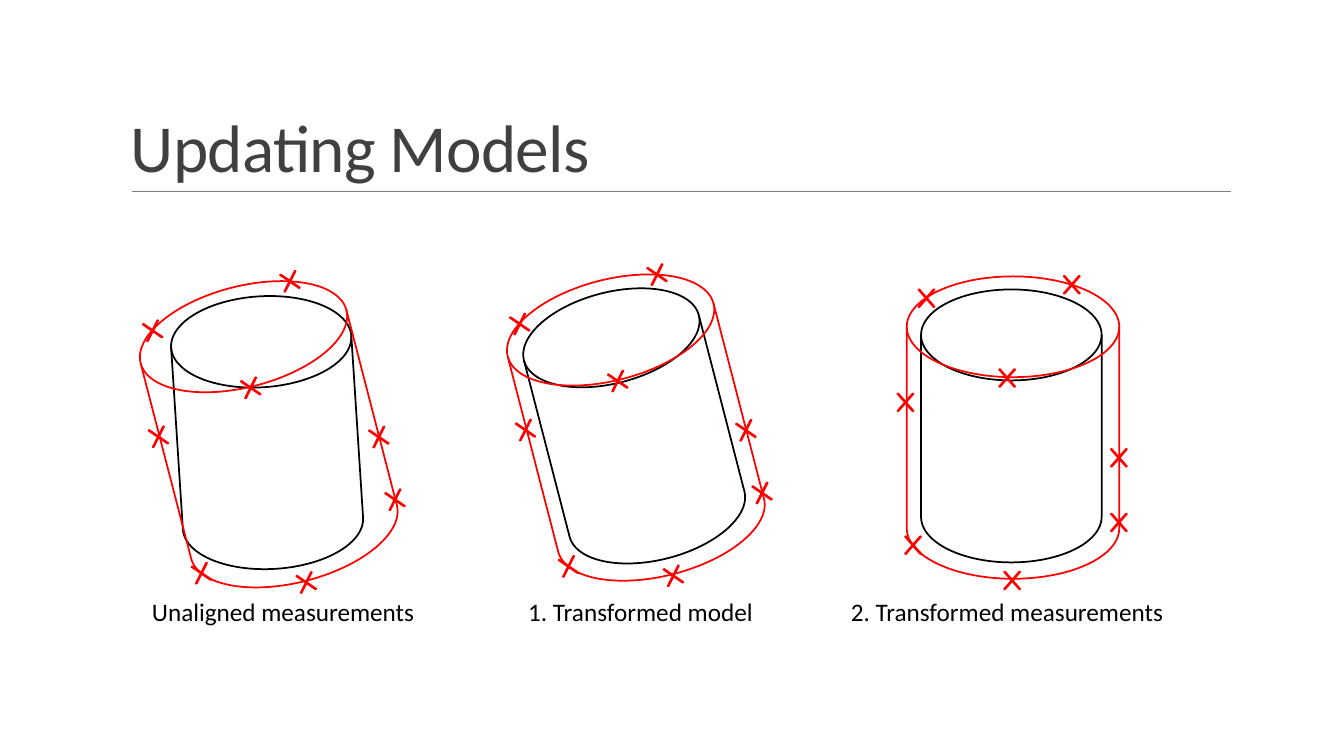
"""Build a slide that shows how cylinder models and measurements are aligned."""
from dataclasses import dataclass
from math import cos, radians, sin

from lxml.etree import SubElement
from pptx import Presentation
from pptx.dml.color import RGBColor
from pptx.enum.shapes import MSO_CONNECTOR as Connector, MSO_SHAPE as Preset
from pptx.enum.text import MSO_ANCHOR as Anchor
from pptx.oxml.ns import qn
from pptx.shapes.autoshape import Shape
from pptx.slide import Slide
from pptx.text.text import _Paragraph as Paragraph
from pptx.util import Inches, Pt

COLUMNS, ROWS = 160, 90
CELL = Inches(1) / 12
FONT = "Calibri"
BLACK, RED, WHITE = "000000", "FF0000", "FFFFFF"
MODEL_SIZE = (32.5, 21.5)
MEASURED_SIZE = (36, 25.3)
MARK_SIZE = (3.5, 4)
MODEL_OFFSET = (-0.2, -0.2)
MARK_OFFSETS = [
    (-0.1, 18.2), (12.6, 11.3), (12.6, 3.6), (-11.9, 14),
    (-12.8, -3), (-0.7, -5.9), (7, -17), (-10.3, -15.4),
]


@dataclass(frozen=True)
class Panel:
    """One cylinder pair with its caption, in grid cells and degrees."""
    caption: str
    caption_left: float
    caption_width: float
    center: tuple[float, float]
    model_tilt: float
    measured_tilt: float


PANELS = [
    Panel("Unaligned measurements", 16.9, 34, (32, 51.7), -3.7, -14.5),
    Panel("1. Transformed model", 61.7, 29.4, (75.7, 50.9), -14.5, -14.5),
    Panel("2. Transformed measurements", 100.1, 40, (120.6, 50.9), 0, 0),
]


def cells(count: float) -> int:
    """Convert grid cells to slide units."""
    return round(count * CELL)


def color(value: str) -> RGBColor:
    """Turn a hex string into a colour."""
    return RGBColor.from_string(value)


def add_outline(slide: Slide, preset: Preset, center: tuple[float, float],
                size: tuple[float, float], rotation: float,
                line: str, fill: str | None) -> Shape:
    """Draw a rotated preset shape around a centre."""
    (x, y), (width, height) = center, size
    shape = slide.shapes.add_shape(preset, cells(x - width / 2), cells(y - height / 2),
                                   cells(width), cells(height))
    shape.rotation = rotation % 360
    shape.shadow.inherit = False
    shape.line.color.rgb = color(line)
    shape.line.width = Pt(1.25)
    if fill:
        shape.fill.solid()
        shape.fill.fore_color.rgb = color(fill)
    else:
        shape.fill.background()
    return shape


def add_text(slide: Slide, text: str, box: tuple[float, float, float, float],
             size: float, hex_color: str, anchor: Anchor, wrap: bool) -> Paragraph:
    """Add one paragraph of text in a box of grid cells."""
    frame = slide.shapes.add_textbox(*map(cells, box)).text_frame
    frame.word_wrap = wrap
    frame.vertical_anchor = anchor
    paragraph = frame.paragraphs[0]
    paragraph.text = text
    paragraph.font.name = FONT
    paragraph.font.size = Pt(size)
    paragraph.font.color.rgb = color(hex_color)
    return paragraph


def add_title(slide: Slide) -> None:
    """Add the heading and the rule below it."""
    paragraph = add_text(slide, "Updating Models", (14.4, 3.7, 132, 19.1),
                         48, "404040", Anchor.BOTTOM, True)
    paragraph.line_spacing = 0.85
    paragraph.runs[0]._r.get_or_add_rPr().set("spc", "-50")
    rule = slide.shapes.add_connector(Connector.STRAIGHT, cells(15.7), cells(22.8),
                                      cells(146.5), cells(22.8))
    rule.line.color.rgb = color("808080")
    rule.line.width = Pt(0.5)
    SubElement(rule._element.spPr, qn("a:effectLst"))


def add_panel(slide: Slide, panel: Panel) -> None:
    """Draw the model, the measured cylinder, its marks and the caption."""
    x, y = panel.center
    add_text(slide, panel.caption, (panel.caption_left, 70.4, panel.caption_width, 4.8),
             18, BLACK, Anchor.TOP, False)
    model_center = (x + MODEL_OFFSET[0], y + MODEL_OFFSET[1])
    add_outline(slide, Preset.FLOWCHART_DIRECT_ACCESS_STORAGE, model_center, MODEL_SIZE,
                panel.model_tilt - 90, BLACK, WHITE)
    add_outline(slide, Preset.FLOWCHART_DIRECT_ACCESS_STORAGE, panel.center, MEASURED_SIZE,
                panel.measured_tilt - 90, RED, None)
    angle = radians(panel.measured_tilt)
    for across, down in MARK_OFFSETS:
        center = (x + across * cos(angle) - down * sin(angle),
                  y + across * sin(angle) + down * cos(angle))
        mark = add_outline(slide, Preset.MATH_MULTIPLY, center, MARK_SIZE,
                           panel.measured_tilt, RED, BLACK)
        mark.adjustments[0] = 0.03


def main() -> None:
    """Build and save the presentation."""
    presentation = Presentation()
    presentation.slide_width = cells(COLUMNS)
    presentation.slide_height = cells(ROWS)
    slide = presentation.slides.add_slide(presentation.slide_layouts[6])
    add_title(slide)
    for panel in PANELS:
        add_panel(slide, panel)
    presentation.save("out.pptx")


if __name__ == "__main__":
    main()
